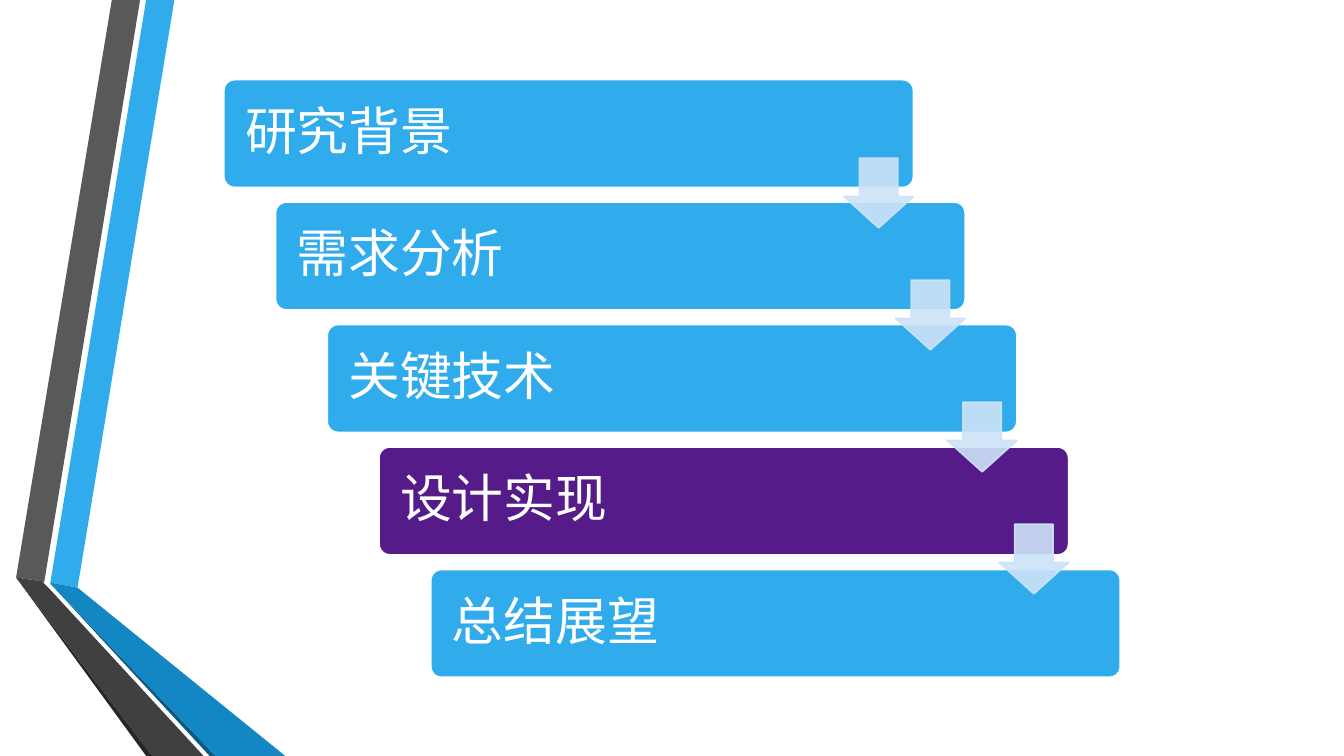
from lxml.etree import SubElement
from pptx import Presentation
from pptx.dml.color import RGBColor
from pptx.enum.shapes import MSO_SHAPE
from pptx.enum.text import MSO_ANCHOR, PP_ALIGN
from pptx.oxml.ns import qn
from pptx.util import Inches, Pt

WHITE = RGBColor(0xFF, 0xFF, 0xFF)
BLUE = RGBColor(0x30, 0xAC, 0xEC)
MID_BLUE = RGBColor(0x12, 0x87, 0xC3)
DARK_BLUE = RGBColor(0x0C, 0x5A, 0x82)
PURPLE = RGBColor(0x54, 0x1B, 0x89)
PALE_BLUE = RGBColor(0xCD, 0xE3, 0xF8)
GREY = RGBColor(0x59, 0x59, 0x59)
DARK_GREY = RGBColor(0x40, 0x40, 0x40)
BLACK_GREY = RGBColor(0x26, 0x26, 0x26)

RIBBONS = [
    (BLUE, [(0.5, 5.78), (0.77, 5.83), (1.73, 0), (1.45, 0)]),
    (GREY, [(1.39, 0), (1.11, 0), (0.16, 5.73), (0.44, 5.77)]),
    (BLACK_GREY, [(0.16, 5.73), (1.45, 7.5), (1.51, 7.5)]),
    (DARK_BLUE, [(0.5, 5.79), (2.08, 7.5), (2.14, 7.5)]),
    (MID_BLUE, [(0.5, 5.78), (0.5, 5.79), (2.14, 7.5), (2.83, 7.5), (0.77, 5.83)]),
    (DARK_GREY, [(2.02, 7.5), (0.48, 5.83), (0.43, 5.78), (0.44, 5.77),
                 (0.16, 5.73), (1.51, 7.5)]),
]

STEPS = ["研究背景", "需求分析", "关键技术", "设计实现", "总结展望"]
CURRENT_STEP = "设计实现"
STEP_X, STEP_Y = 0.513, 1.215
BAR_LEFT, BAR_TOP, BAR_WIDTH, BAR_HEIGHT = 2.22, 0.79, 6.84, 1.07
ARROW_LEFT, ARROW_TOP, ARROW_SIZE, ARROW_STEP_Y = 8.37, 1.57, 0.69, 1.21


class StairSlide:
    font = "Cabin"
    size = Pt(37)
    line_width = Pt(1.25)

    def __init__(self, prs):
        self.shapes = prs.slides.add_slide(prs.slide_layouts[6]).shapes

    def paint(self, s, fill, line=None):
        s.shadow.inherit = False
        s.fill.solid()
        s.fill.fore_color.rgb = fill
        if line is None:
            s.line.fill.background()
        else:
            s.line.color.rgb = line
            s.line.width = self.line_width

    def ribbon(self, color, points):
        start, *rest = [(Inches(x), Inches(y)) for x, y in points]
        builder = self.shapes.build_freeform(*start)
        builder.add_line_segments(rest, close=True)
        self.paint(builder.convert_to_shape(), color)

    def bar(self, text, left, top, color):
        s = self.shapes.add_shape(
            MSO_SHAPE.ROUNDED_RECTANGLE, Inches(left), Inches(top),
            Inches(BAR_WIDTH), Inches(BAR_HEIGHT))
        s.adjustments[0] = 0.1
        self.paint(s, color, WHITE)
        tf = s.text_frame
        tf.word_wrap = True
        tf.vertical_anchor = MSO_ANCHOR.MIDDLE
        tf.margin_left = tf.margin_right = Inches(0.18)
        tf.margin_top = tf.margin_bottom = Inches(0.18)
        tf.text = text
        p = tf.paragraphs[0]
        p.alignment = PP_ALIGN.LEFT
        p.line_spacing = 0.9
        font = p.runs[0].font
        font.name, font.size = self.font, self.size
        font.color.rgb = WHITE

    def arrow(self, left, top):
        s = self.shapes.add_shape(
            MSO_SHAPE.DOWN_ARROW, Inches(left), Inches(top),
            Inches(ARROW_SIZE), Inches(ARROW_SIZE))
        s.adjustments[0], s.adjustments[1] = 0.55, 0.45
        self.paint(s, PALE_BLUE, PALE_BLUE)
        for color in s.element.spPr.iter(qn("a:srgbClr")):
            SubElement(color, qn("a:alpha"), val="90000")


def main():
    prs = Presentation()
    prs.slide_width, prs.slide_height = Inches(13.33), Inches(7.5)
    slide = StairSlide(prs)
    for color, points in RIBBONS:
        slide.ribbon(color, points)
    for i, text in enumerate(STEPS):
        color = PURPLE if text == CURRENT_STEP else BLUE
        slide.bar(text, BAR_LEFT + i * STEP_X, BAR_TOP + i * STEP_Y, color)
    for i in range(len(STEPS) - 1):
        slide.arrow(ARROW_LEFT + i * STEP_X, ARROW_TOP + i * ARROW_STEP_Y)
    prs.save("out.pptx")


if __name__ == "__main__":
    main()
